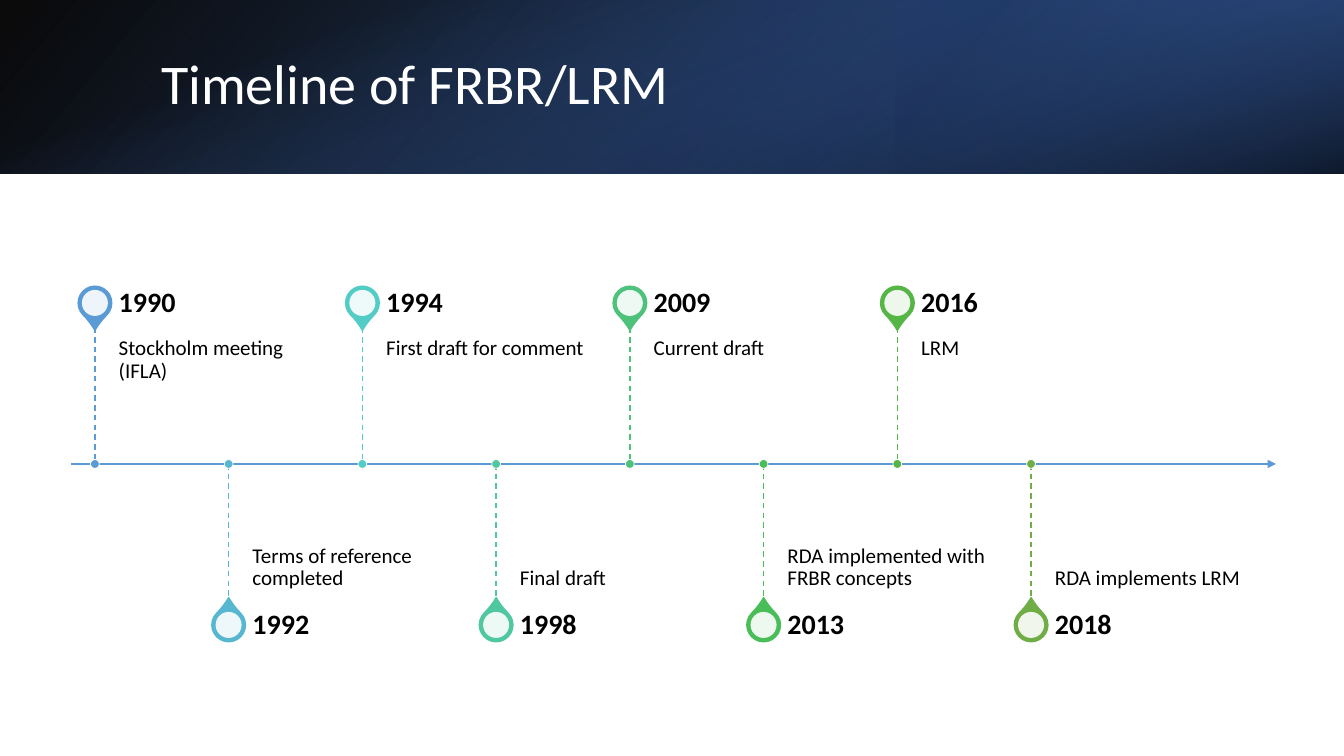
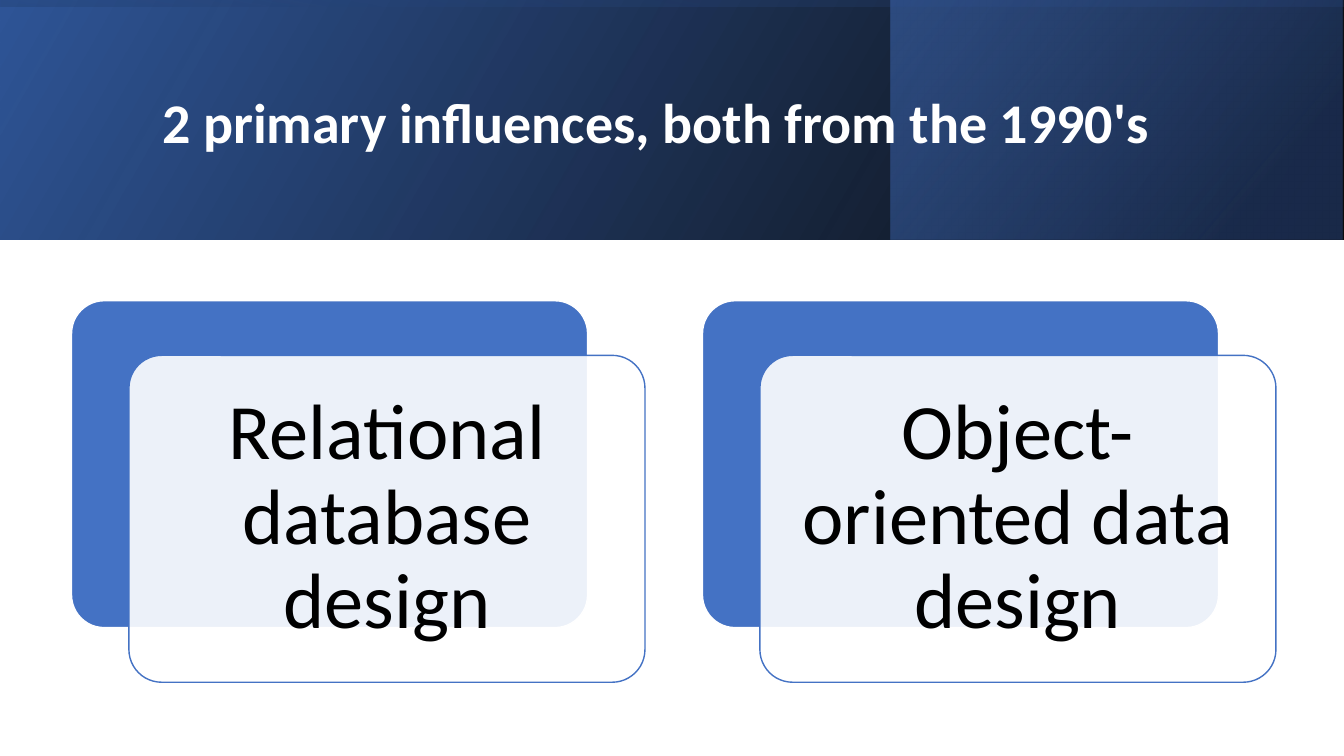
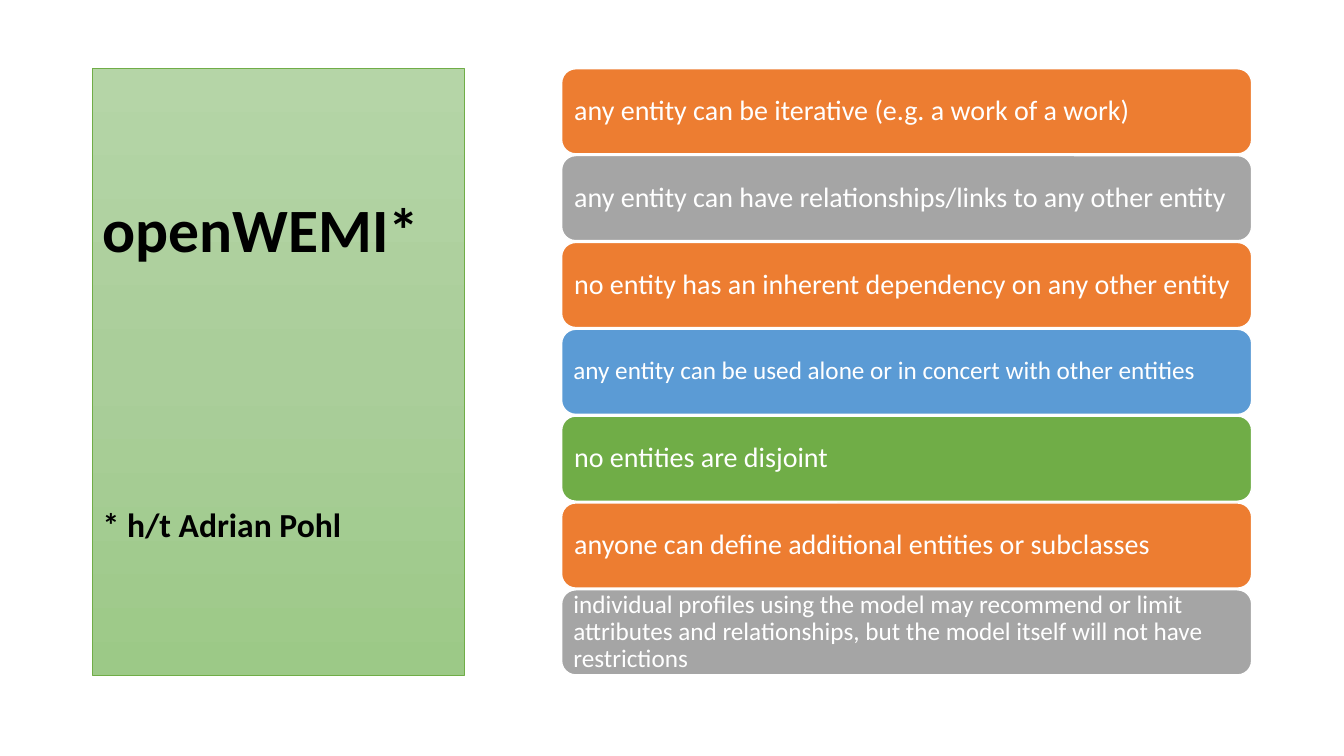
from lxml import etree
from pptx import Presentation
from pptx import util as u
from pptx.dml.color import RGBColor
from pptx.enum import dml, shapes, text
from pptx.oxml import ns

FONT = "Calibri"
WHITE, BLACK = "FFFFFF", "000000"
NAVY, ROYAL, DEEP = "2F5597", "4472C4", "203864"
SKY, ORANGE, GREY, GREEN = "5B9BD5", "ED7D31", "A5A5A5", "70AD47"
SLIDE_W, SLIDE_H = 960, 540
SHAPE = shapes.MSO_SHAPE
MIDDLE, TOP, BOTTOM = text.MSO_ANCHOR.MIDDLE, text.MSO_ANCHOR.TOP, text.MSO_ANCHOR.BOTTOM
LEFT, CENTER = text.PP_ALIGN.LEFT, text.PP_ALIGN.CENTER

AXIS_Y = 331.4
MILESTONES = [
    ("1990", "Stockholm meeting (IFLA)", SKY),
    ("1992", "Terms of reference completed", "57B7D1"),
    ("1994", "First draft for comment", "53CCC5"),
    ("1998", "Final draft", "4FC7A0"),
    ("2009", "Current draft", "4CC27B"),
    ("2013", "RDA implemented with FRBR concepts", "48BD58"),
    ("2016", "LRM", "55B646"),
    ("2018", "RDA implements LRM", GREEN),
]
PRINCIPLES = [
    ("any entity can be iterative (e.g. a work of a work)", ORANGE, 20),
    ("any entity can have relationships/links to any other entity", GREY, 20),
    ("no entity has an inherent dependency on any other entity", ORANGE, 20),
    ("any entity can be used alone or in concert with other entities", SKY, 18),
    ("no entities are disjoint", GREEN, 20),
    ("anyone can define additional entities or subclasses", ORANGE, 20),
    ("individual profiles using the model may recommend or limit attributes and "
     "relationships, but the model itself will not have restrictions", GREY, 18),
]


def paint(color_format, color):
    color_format.rgb = RGBColor.from_string(color)


def child(parent, tag, **attributes):
    return etree.SubElement(parent, ns.qn(tag), attributes)


def fill_solid(shape, color, opacity=100):
    shape.fill.solid()
    paint(shape.fill.fore_color, color)
    if opacity < 100:
        tint = shape.element.spPr.find(ns.qn("a:solidFill"))[0]
        child(tint, "a:alpha", val=str(opacity * 1000))


def fill_gradient(shape, stops, angle):
    shape.fill.gradient()
    gradient = shape.element.spPr.find(ns.qn("a:gradFill"))
    for part in list(gradient):
        gradient.remove(part)
    gradient.set("rotWithShape", "1")
    stop_list = child(gradient, "a:gsLst")
    for position, color, opacity in stops:
        stop = child(stop_list, "a:gs", pos=str(position * 1000))
        tint = child(stop, "a:srgbClr", val=color)
        if opacity < 100:
            child(tint, "a:alpha", val=str(opacity * 1000))
    child(gradient, "a:lin", ang=str(angle * 60000), scaled="0")


def outline(shape, color, width):
    paint(shape.line.color, color)
    shape.line.width = u.Pt(width)


def add_figure(slide, kind, left, top, width, height, line=None):
    figure = slide.shapes.add_shape(kind, u.Pt(left), u.Pt(top), u.Pt(width), u.Pt(height))
    figure.shadow.inherit = False
    if line:
        outline(figure, *line)
    else:
        figure.line.fill.background()
    return figure


def add_disc(slide, x, y, size, color, opacity=100, line=None):
    disc = add_figure(slide, SHAPE.OVAL, x - size / 2, y - size / 2, size, size, line)
    fill_solid(disc, color, opacity)


def add_rule(slide, x1, y1, x2, y2, color, width):
    rule = slide.shapes.add_connector(
        shapes.MSO_CONNECTOR.STRAIGHT, u.Pt(x1), u.Pt(y1), u.Pt(x2), u.Pt(y2))
    outline(rule, color, width)
    child(rule.element.spPr, "a:effectLst")
    return rule


def set_frame(frame, anchor, margins):
    frame.word_wrap = True
    frame.auto_size = text.MSO_AUTO_SIZE.NONE
    frame.vertical_anchor = anchor
    (frame.margin_left, frame.margin_top,
     frame.margin_right, frame.margin_bottom) = map(u.Pt, margins)


def write(paragraph, words, size, color, bold=False, align=LEFT):
    paragraph.alignment = align
    paragraph.line_spacing = 0.9
    run = paragraph.add_run()
    run.text = words
    run.font.name = FONT
    run.font.size = u.Pt(size)
    run.font.bold = bold
    paint(run.font.color, color)


def add_label(slide, left, top, width, height, words, size, anchor, margins, bold=False):
    label = slide.shapes.add_textbox(u.Pt(left), u.Pt(top), u.Pt(width), u.Pt(height))
    set_frame(label.text_frame, anchor, margins)
    write(label.text_frame.paragraphs[0], words, size, BLACK, bold)


def add_card(slide, box, fill, line, words, size, color, margin, align=LEFT, opacity=100):
    card = add_figure(slide, SHAPE.ROUNDED_RECTANGLE, *box, line=line)
    fill_solid(card, fill, opacity)
    set_frame(card.text_frame, MIDDLE, [margin] * 4)
    write(card.text_frame.paragraphs[0], words, size, color, align=align)
    return card


def add_band(slide, left, width, height, stops, angle, rotation=0, flipped=True):
    top = 0
    if rotation in (90, 270):
        left, top = left + (width - height) / 2, (height - width) / 2
        width, height = height, width
    band = add_figure(slide, SHAPE.RECTANGLE, left, top, width, height)
    fill_gradient(band, stops, angle)
    band.rotation = rotation
    if flipped:
        band.element.spPr.find(ns.qn("a:xfrm")).set("flipH", "1")


def place_title(slide, left, top, width, height):
    title = slide.shapes.title
    title.left, title.top, title.width, title.height = map(u.Pt, (left, top, width, height))
    set_frame(title.text_frame, MIDDLE, (7.2, 3.6, 7.2, 3.6))
    slide.shapes._spTree.append(title.element)
    return title


def add_banner_title(slide, box, words, bold=False):
    title = place_title(slide, *box)
    write(title.text_frame.paragraphs[0], words, 40, WHITE, bold)


def add_milestone(slide, x, above, year, event, color):
    side = -1 if above else 1
    pin_y = AXIS_Y + side * 115
    stem = 97.6
    pin = add_figure(slide, SHAPE.TEAR, x - 12, pin_y - 12, 24, 24, (color, 1))
    pin.adjustments[0] = 1.15
    pin.rotation = 135 if above else 315
    fill_solid(pin, color)
    add_disc(slide, x, pin_y, 18.6, WHITE, 90)

    event_top = AXIS_Y - stem if above else AXIS_Y
    margins = (0, 7.2, 7.2, 11.5) if above else (0, 11.5, 0, 7.2)
    add_label(slide, x + 17, event_top, 157.8, stem, event, 15,
              TOP if above else BOTTOM, margins)
    add_label(slide, x + 17, pin_y - 17.2, 157.8, 34.4, year, 20,
              MIDDLE, (0, 0, 10, 0), True)

    start, end = sorted((AXIS_Y, AXIS_Y + side * stem))
    stem_line = add_rule(slide, x, start, x, end, color, 1)
    stem_line.line.dash_style = dml.MSO_LINE.DASH
    add_disc(slide, x, AXIS_Y, 6.3, color, line=(WHITE, 0.5))


def build_timeline(slide):
    height = 124.2
    add_band(slide, 0, SLIDE_W, height, [(0, BLACK, 96), (100, NAVY, 100)], 140)
    add_band(slide, 640, 320, height, [(19, DEEP, 68), (100, ROYAL, 79)], 320, 180)
    add_band(slide, 0, SLIDE_W, height, [(23, ROYAL, 0), (99, BLACK, 74)], 340, 90, False)
    add_banner_title(slide, (108, 27.4, 790.6, 69), "Timeline of FRBR/LRM")

    axis = add_rule(slide, 50.4, AXIS_Y, 911.5, AXIS_Y, SKY, 1.5)
    child(axis.line._get_or_add_ln(), "a:tailEnd", type="triangle")
    for i, milestone in enumerate(MILESTONES):
        add_milestone(slide, 67.8 + 95.53 * i, i % 2 == 0, *milestone)


def build_influences(slide):
    height = 171
    add_band(slide, 0, SLIDE_W, height, [(0, BLACK, 96), (100, NAVY, 100)], 330)
    add_band(slide, 636.2, 322.8, height, [(19, DEEP, 68), (100, ROYAL, 48)], 320)
    add_band(slide, 0, SLIDE_W, height, [(23, NAVY, 16), (99, BLACK, 45)], 350, 270)
    add_banner_title(slide, (108.7, 27.4, 765.4, 123.8),
                     "2 primary influences, both from the 1990's", True)

    width, tall = 368.6, 233.5
    for i, influence in enumerate(("Relational database design", "Object-oriented data design")):
        left, top = 51.1 + 450.7 * i, 214.8
        backing = add_figure(slide, SHAPE.ROUNDED_RECTANGLE, left, top, width, tall, (WHITE, 1))
        fill_solid(backing, ROYAL)
        card = add_card(slide, (left + 41, top + 39, width, tall), WHITE, (ROYAL, 1),
                        influence, 56, BLACK, 16.8, CENTER, 90)
        for panel in (backing, card):
            panel.adjustments[0] = 0.1


def build_principles(slide):
    title = place_title(slide, 66.2, 49, 265.7, 433.4)
    fill_gradient(title, [(0, "B5D5A7", 100), (50, "AACE9A", 100), (100, "9CC987", 100)], 90)
    outline(title, GREEN, 0.5)
    write(title.text_frame.paragraphs[0], "openWEMI*", 44, BLACK, True)
    credit = title.text_frame.add_paragraph()
    credit.space_before = u.Pt(174)
    write(credit, "* h/t Adrian Pohl", 24, BLACK, True)

    for i, (principle, color, size) in enumerate(PRINCIPLES):
        add_card(slide, (401.2, 49.1 + 62.03 * i, 492.9, 60.8), color, (WHITE, 1),
                 principle, size, WHITE, size * 0.3)


def main():
    deck = Presentation()
    deck.slide_width, deck.slide_height = u.Pt(SLIDE_W), u.Pt(SLIDE_H)
    for build in (build_timeline, build_influences, build_principles):
        build(deck.slides.add_slide(deck.slide_layouts[5]))
    deck.save("out.pptx")


if __name__ == "__main__":
    main()
